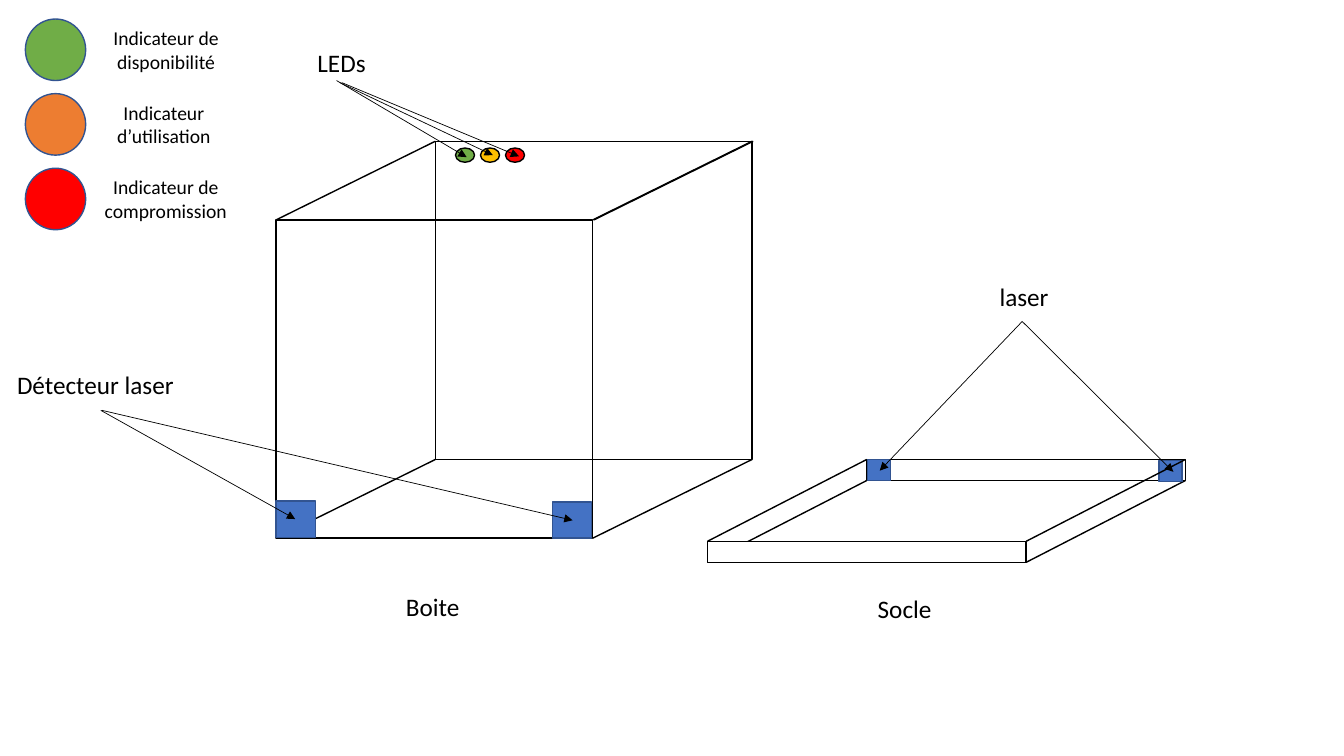
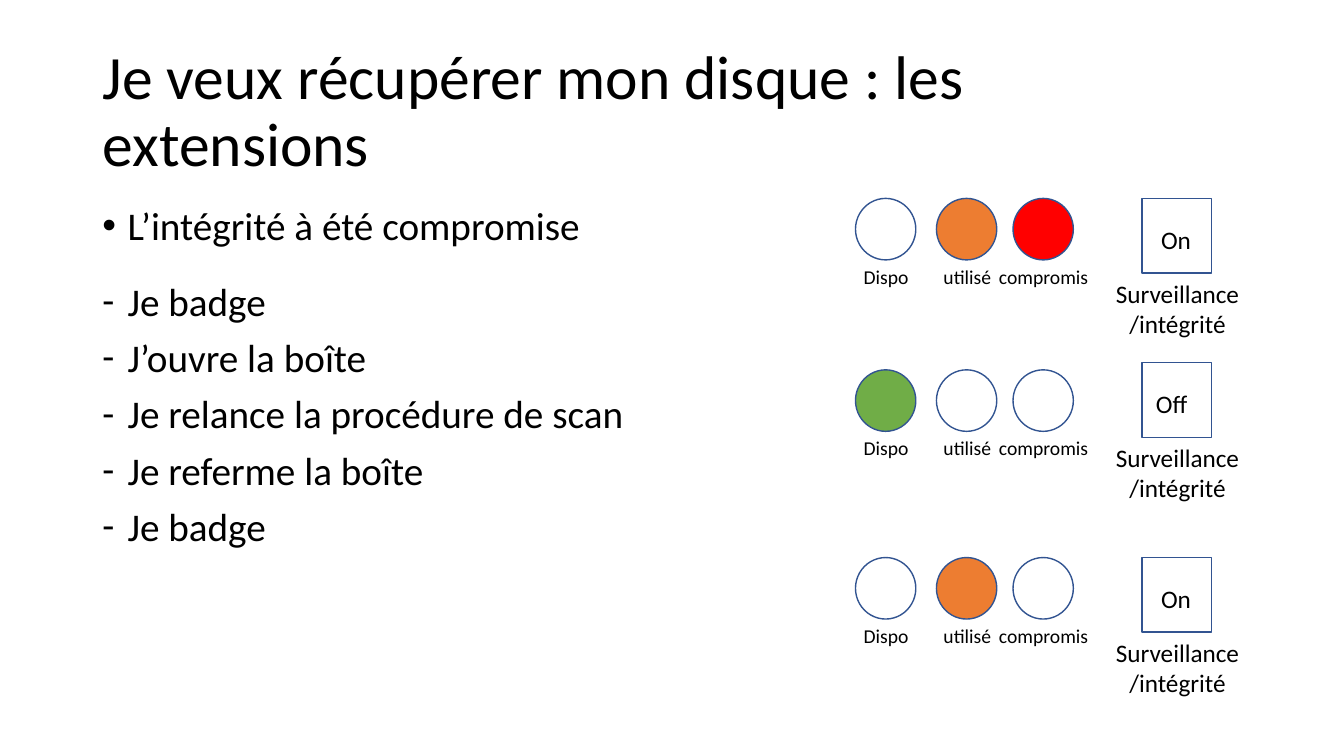
"""Build two slides: the box and base diagram, and the disk recovery steps."""
from lxml.etree import SubElement
from pptx import Presentation
from pptx.dml.color import RGBColor
from pptx.enum.shapes import MSO_CONNECTOR, MSO_SHAPE
from pptx.enum.text import MSO_ANCHOR, MSO_AUTO_SIZE, PP_ALIGN
from pptx.oxml.ns import qn
from pptx.util import Cm, Pt

FONT = "Calibri"
BLACK, WHITE = "000000", "FFFFFF"
GREEN, ORANGE, AMBER, RED = "70AD47", "ED7D31", "FFC000", "FF0000"
BLUE, NAVY = "4472C4", "325491"
RECT, OVAL = MSO_SHAPE.RECTANGLE, MSO_SHAPE.OVAL
LAMP = (1.52, 1.55)


def add_figure(slide, kind, left, top, width, height, fill, outline=NAVY):
    figure = slide.shapes.add_shape(kind, Cm(left), Cm(top), Cm(width), Cm(height))
    figure.shadow.inherit = False
    figure.fill.solid()
    figure.fill.fore_color.rgb = RGBColor.from_string(fill)
    figure.line.color.rgb = RGBColor.from_string(outline)
    figure.line.width = Pt(1)


def add_label(slide, lines, left, top, width, height, size=18, align=PP_ALIGN.LEFT):
    box = slide.shapes.add_textbox(Cm(left), Cm(top), Cm(width), Cm(height))
    frame = box.text_frame
    frame.word_wrap = True
    frame.auto_size = MSO_AUTO_SIZE.SHAPE_TO_FIT_TEXT
    frame.text = "\n".join(lines)
    for paragraph in frame.paragraphs:
        paragraph.alignment = align
        paragraph.font.name = FONT
        paragraph.font.size = Pt(size)
        paragraph.font.color.rgb = RGBColor.from_string(BLACK)
    return frame


deck = Presentation()
deck.slide_width, deck.slide_height = Cm(33.87), Cm(19.05)

diagram = deck.slides.add_slide(deck.slide_layouts[6])

box_x, box_y, box_w, box_h = 6.96, 5.54, 7.98, 8.02
base_x, base_y, base_w, base_h = 17.83, 13.64, 8.03, 0.53
depth, box_rise, base_rise = 4.01, 1.98, 2.06
back_x, back_y = box_x + depth, box_y - box_rise

back_figures = [
    (RECT, base_x + depth, base_y - base_rise, base_w, base_h, WHITE, BLACK),
    (RECT, back_x, back_y, box_w, box_h, WHITE, BLACK),
    (RECT, box_x, box_y, box_w, box_h, WHITE, BLACK),
]
back_edges = [(x, y, x + depth, y - box_rise, 1)
              for x in (box_x, box_x + box_w) for y in (box_y, box_y + box_h)]
back_edges += [(x, y, x + depth, y - base_rise, 1)
               for x, y in ((base_x, base_y), (base_x, base_y + base_h),
                            (base_x + base_w, base_y + base_h))]
back_edges += [
    (box_x + box_w + 0.03, box_y, back_x + box_w + 0.03, back_y, 1),
    (back_x, box_y, back_x, back_y + box_h, 1),
    (back_x, back_y + box_h, box_x + box_w, back_y + box_h, 1),
]

front_figures = [
    (RECT, base_x, base_y, base_w, base_h, WHITE, BLACK),
    (RECT, 6.96, 12.63, 0.99, 0.91, BLUE, NAVY),
    (RECT, 13.92, 12.65, 0.99, 0.91, BLUE, NAVY),
    (RECT, 29.21, 11.61, 0.58, 0.53, BLUE, NAVY),
    (RECT, 21.87, 11.58, 0.58, 0.53, BLUE, NAVY),
]
front_figures += [(OVAL, 11.48 + 0.63 * i, 3.73, 0.48, 0.36, color, BLACK)
                  for i, color in enumerate((GREEN, AMBER, RED))]
front_lines = [
    (base_x + base_w, base_y, base_x + base_w + depth, base_y - base_rise, 1),
    (2.54, 10.34, 7.44, 13.08, 0.5),
    (2.57, 10.34, 14.43, 13.11, 0.5),
    (25.76, 8.1, 22.17, 11.86, 0.5),
    (25.76, 8.1, 29.57, 11.89, 0.5),
    (8.48, 2.03, 11.76, 3.96, 0.5),
    (8.56, 2.08, 12.42, 3.91, 0.5),
    (8.61, 2.08, 13.08, 3.94, 0.5),
]

for figures, lines in ((back_figures, back_edges), (front_figures, front_lines)):
    for figure in figures:
        add_figure(diagram, *figure)
    for x1, y1, x2, y2, weight in lines:
        edge = diagram.shapes.add_connector(
            MSO_CONNECTOR.STRAIGHT, Cm(x1), Cm(y1), Cm(x2), Cm(y2))
        edge.line.color.rgb = RGBColor.from_string(BLACK)
        edge.line.width = Pt(weight)
        if weight < 1:
            SubElement(edge.line._get_or_add_ln(), qn("a:tailEnd"), type="triangle")
        SubElement(edge._element.spPr, qn("a:effectLst"))

for part, left, top, width in (
    ("Boite", 9.98, 14.78, 2.01),
    ("Socle", 21.87, 14.83, 2.01),
    ("laser", 24.94, 6.96, 2.95),
    ("Détecteur laser", 0.18, 9.19, 4.5),
    ("LEDs", 7.75, 1.07, 3.28),
):
    add_label(diagram, [part], left, top, width, 1.02)

for i, (meaning, color, left, width) in enumerate((
    ("Indicateur de disponibilité", GREEN, 2.46, 3.45),
    ("Indicateur d’utilisation", ORANGE, 2.34, 3.58),
    ("Indicateur de compromission", RED, 2.29, 3.78),
)):
    top = 0.48 + 1.88 * i
    add_figure(diagram, OVAL, 0.64, top, *LAMP, color)
    add_label(diagram, [meaning], left, top + 0.05, width, 1.45, 14, PP_ALIGN.CENTER)

recovery = deck.slides.add_slide(deck.slide_layouts[5])

title = recovery.shapes.title
title.left, title.top, title.width, title.height = Cm(2.33), Cm(1.01), Cm(29.21), Cm(3.68)
title.text_frame.text = "Je veux récupérer mon disque : les extensions"
title.text_frame.auto_size = MSO_AUTO_SIZE.NONE
title.text_frame.vertical_anchor = MSO_ANCHOR.MIDDLE
heading = title.text_frame.paragraphs[0]
heading.alignment = PP_ALIGN.LEFT
heading.line_spacing = 0.9
heading.font.name = FONT
heading.font.size = Pt(44)
heading.font.color.rgb = RGBColor.from_string(BLACK)

steps = ["Je badge", "J’ouvre la boîte", "Je relance la procédure de scan",
         "Je referme la boîte", "Je badge"]
for items, mark, mark_font, top, height in (
    (["L’intégrité à été compromise"], "•", "Arial", 5.08, 1.47),
    (steps, "-", FONT, 6.99, 10.57),
):
    listing = add_label(recovery, items, 2.33, top, 14.6, height, 28)
    listing.auto_size = MSO_AUTO_SIZE.NONE
    for paragraph in listing.paragraphs:
        paragraph.line_spacing = 0.9
        paragraph.space_before = Pt(10)
        properties = paragraph._p.get_or_add_pPr()
        properties.set("marL", str(Pt(18)))
        properties.set("indent", str(-Pt(18)))
        SubElement(properties, qn("a:buFont"), typeface=mark_font)
        SubElement(properties, qn("a:buChar"), char=mark)

lamps = (("Dispo", 21.56, 21.34, 1.98),
         ("utilisé", 23.6, 23.39, 1.98),
         ("compromis", 25.53, 24.79, 3.02))
for lamp_top, switch_top, colors, state, state_left in (
    (5, 5, (WHITE, ORANGE, RED), "On", 29.01),
    (9.32, 9.14, (GREEN, WHITE, WHITE), "Off", 28.88),
    (14.05, 14.05, (WHITE, ORANGE, WHITE), "On", 29.01),
):
    for (caption, lamp_left, caption_left, caption_width), color in zip(lamps, colors):
        add_figure(recovery, OVAL, lamp_left, lamp_top, *LAMP, color)
        add_label(recovery, [caption], caption_left, lamp_top + 1.55, caption_width, 0.86,
                  14, PP_ALIGN.CENTER)
    add_figure(recovery, RECT, 28.78, switch_top, 1.75, 1.88, WHITE)
    add_label(recovery, ["Surveillance/intégrité"], 27.81, switch_top + 1.88, 3.73, 1.8,
              align=PP_ALIGN.CENTER)
    add_label(recovery, [state], state_left, switch_top + 0.52, 1.52, 1.02)

deck.save("out.pptx")
